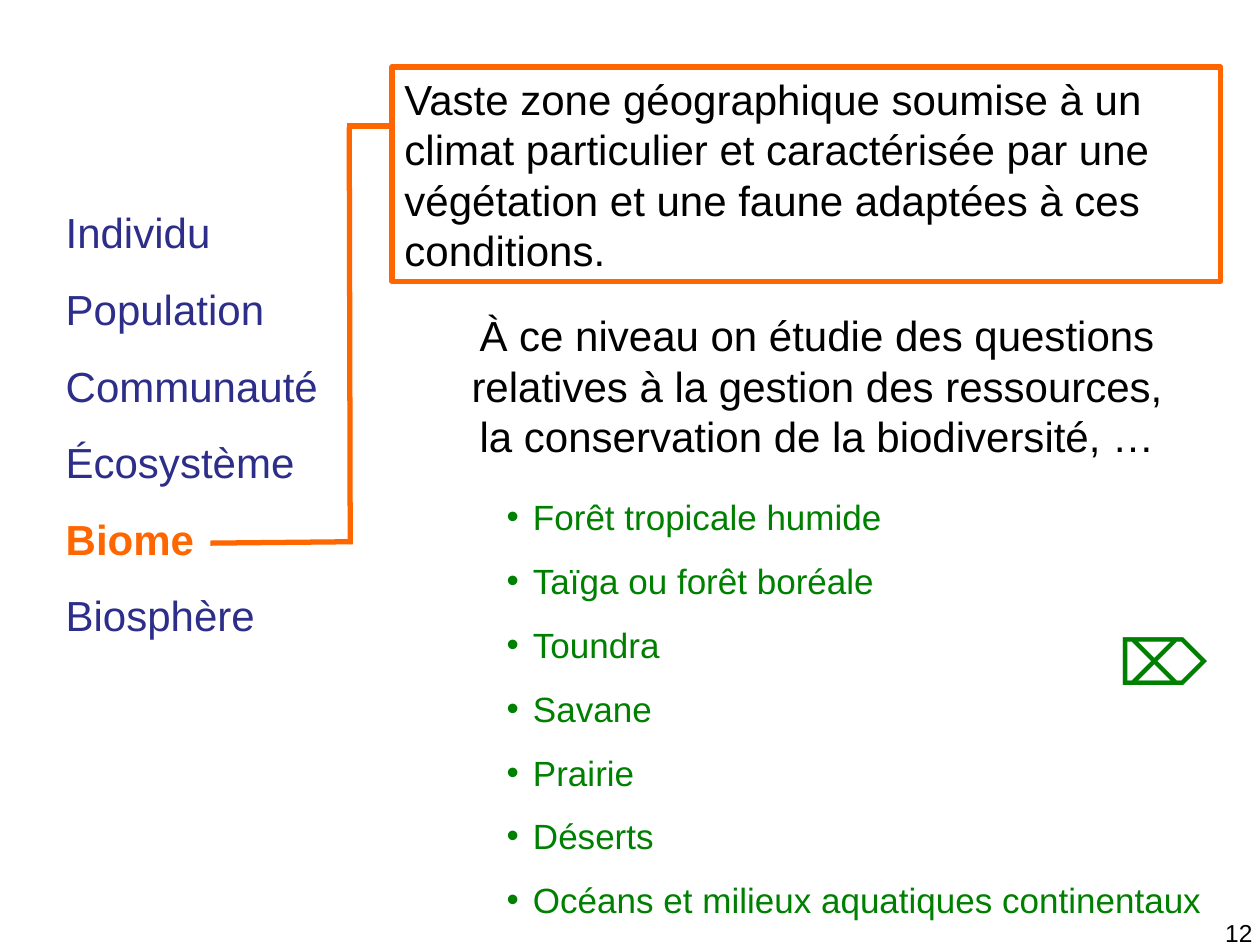
from lxml.etree import SubElement
from pptx import Presentation
from pptx.dml.color import RGBColor
from pptx.enum.shapes import MSO_CONNECTOR as Connector
from pptx.enum.text import MSO_ANCHOR as Anchor, MSO_AUTO_SIZE as AutoSize, PP_ALIGN as Align
from pptx.oxml.ns import qn
from pptx.util import Cm, Pt

# Content
DEFINITION = ["Vaste zone géographique soumise à un climat particulier et caractérisée "
              "par une végétation et une faune adaptées à ces conditions."]
LEVELS = ["Individu", "Population", "Communauté", "Écosystème", "Biome", "Biosphère"]
CURRENT_LEVEL = "Biome"
QUESTIONS = ["À ce niveau on étudie des questions relatives à la gestion des ressources, "
             "la conservation de la biodiversité, …"]
BIOMES = ["Forêt tropicale humide", "Taïga ou forêt boréale", "Toundra", "Savane",
          "Prairie", "Déserts", "Océans et milieux aquatiques continentaux"]

BLACK, BLUE, ORANGE, GREEN = "000000", "2D2D8A", "FF6600", "008000"
LINE_WIDTH = Pt(3)
BULLET_INDENT = Cm(0.53)

# Connecting line segments, in cm: start x, start y, end x, end y
SEGMENTS = [(4.24, 10.95, 7.11, 10.92), (7.06, 10.97, 7.04, 2.57), (6.99, 2.54, 7.85, 2.54)]


def color(value):
    return RGBColor.from_string(value)


def set_bullet(paragraph, character):
    properties = paragraph._p.get_or_add_pPr()
    indent = BULLET_INDENT if character else 0
    properties.set("marL", str(indent))
    properties.set("indent", str(-indent))
    if character:
        SubElement(properties, qn("a:buChar")).set("char", character)
    else:
        SubElement(properties, qn("a:buNone"))


def fill_text(shape, box, lines, size, text_color, before=0, align=Align.LEFT, bullet=None):
    shape.left, shape.top, shape.width, shape.height = (Cm(length) for length in box)
    frame = shape.text_frame
    frame.text = "\n".join(lines)
    frame_format = {"word_wrap": True, "auto_size": AutoSize.NONE, "vertical_anchor": Anchor.TOP}
    for name, value in frame_format.items():
        setattr(frame, name, value)
    for paragraph in frame.paragraphs:
        paragraph.alignment = align
        paragraph.space_before = Pt(before)
        set_bullet(paragraph, bullet)
        for name, value in {"name": "Arial", "size": Pt(size), "bold": False}.items():
            setattr(paragraph.font, name, value)
        for run in paragraph.runs:
            run.font.name, run.font.size = "Arial", Pt(size)
            run.font.color.rgb = color(text_color)


presentation = Presentation()
presentation.slide_width, presentation.slide_height = Cm(25.4), Cm(19.05)
slide = presentation.slides.add_slide(presentation.slide_layouts.get_by_name("Two Content"))
definition, levels, biomes = list(slide.placeholders)[:3]


def add_text(*args, **kwargs):
    fill_text(slide.shapes.add_textbox(0, 0, 0, 0), *args, **kwargs)


# Framed definition
fill_text(definition, (7.9, 1.35, 16.71, 4.32), DEFINITION, 24, BLACK, before=15)
definition.line.color.rgb = color(ORANGE)
definition.line.width = LINE_WIDTH

# Levels of organisation, with the current one highlighted
fill_text(levels, (1.07, 4.04, 6.55, 8.99), LEVELS, 24, BLUE, before=15)
current = levels.text_frame.paragraphs[LEVELS.index(CURRENT_LEVEL)].runs[0]
current.font.bold = True
current.font.color.rgb = color(ORANGE)

# Line from the current level to its definition
for segment in SEGMENTS:
    connector = slide.shapes.add_connector(Connector.STRAIGHT, *(Cm(length) for length in segment))
    connector.line.color.rgb = color(ORANGE)
    connector.line.width = LINE_WIDTH
    SubElement(connector._element.spPr, qn("a:effectLst"))

# Biome list, questions, symbol and slide number
fill_text(biomes, (9.96, 9.86, 14.6, 8.84), BIOMES, 20, GREEN, before=12.5, bullet="•")
add_text((22.3, 12.42, 1.4, 1.78), ["⌦"], 36, GREEN)
add_text((9.17, 6.12, 14.6, 3.3), QUESTIONS, 24, BLACK, before=15, align=Align.CENTER)
add_text((19.58, 18.39, 5.92, 1.32), ["12"], 14, BLACK, align=Align.RIGHT)

presentation.save("out.pptx")
